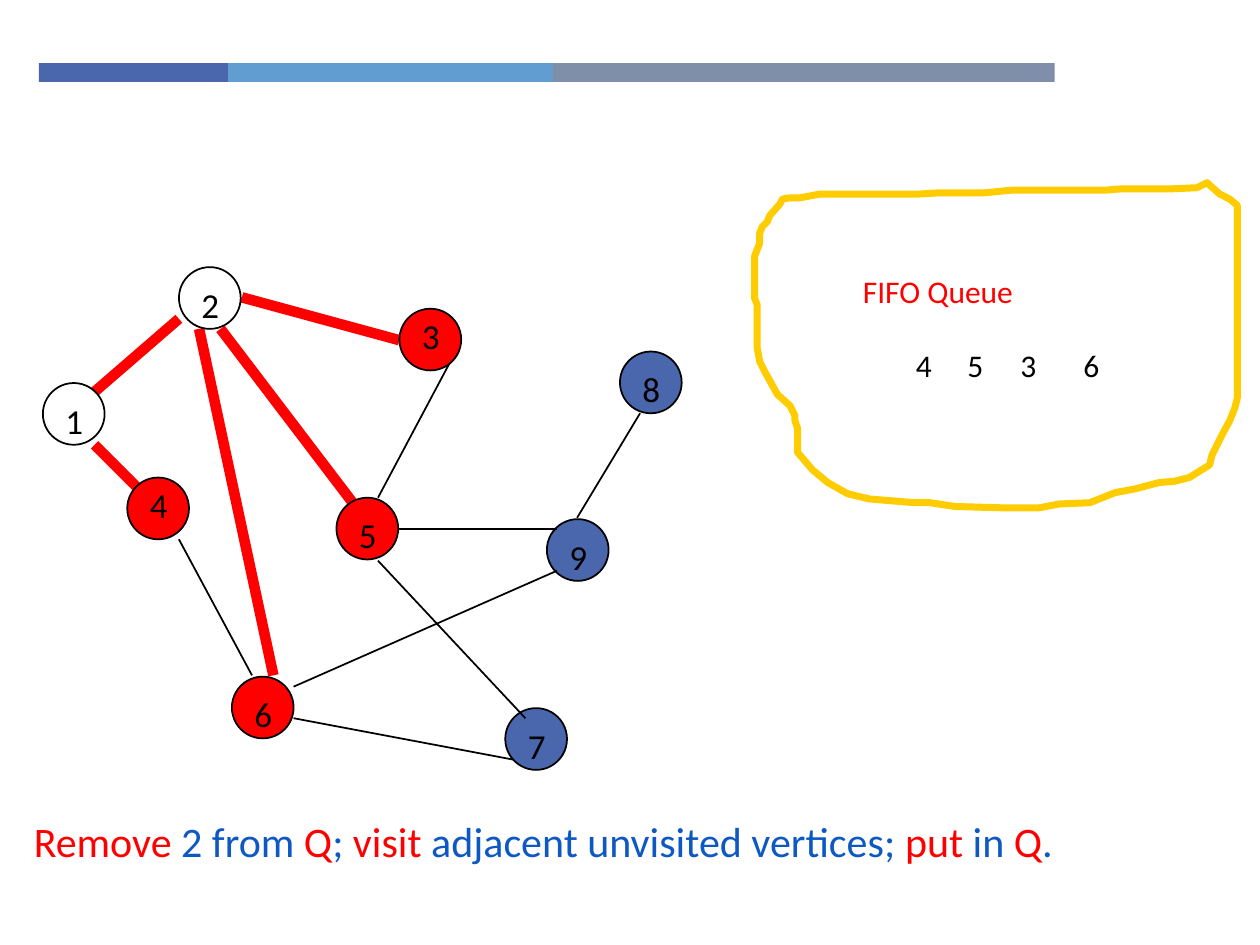
"""Build a slide showing one step of a breadth-first search with its FIFO queue."""
from dataclasses import dataclass

import lxml.etree
import pptx
import pptx.dml.color
import pptx.enum.shapes
import pptx.oxml.ns
import pptx.util

Inches = pptx.util.Inches


@dataclass(frozen=True)
class Theme:
    font: str = "Calibri"
    black: str = "000000"
    white: str = "FFFFFF"
    red: str = "FF0000"
    blue: str = "0E58C4"
    indigo: str = "4A66AC"
    sky: str = "629DD1"
    slate: str = "7F8FA9"
    gold: str = "FFCC00"
    caption_size: int = 24
    node_size: int = 20
    queue_size: int = 18
    thin: int = 1
    outline: int = 4
    thick: int = 6
    diameter: float = 0.49


def color(value):
    return pptx.dml.color.RGBColor.from_string(value)


class SlideBuilder:
    def __init__(self, slide, theme):
        self.slide = slide
        self.theme = theme

    def set_line(self, item, line_color, width):
        item.line.color.rgb = color(line_color)
        item.line.width = pptx.util.Pt(width)

    def shape(self, kind, left, top, width, height, fill):
        shape = self.slide.shapes.add_shape(
            kind, Inches(left), Inches(top), Inches(width), Inches(height))
        shape.shadow.inherit = False
        shape.fill.solid()
        shape.fill.fore_color.rgb = color(fill)
        return shape

    def bar(self, left, width, fill):
        kind = pptx.enum.shapes.MSO_SHAPE.RECTANGLE
        self.shape(kind, left, 0.5, width, 0.15, fill).line.fill.background()

    def text(self, left, top, width, height, size, *parts):
        box = self.slide.shapes.add_textbox(
            Inches(left), Inches(top), Inches(width), Inches(height))
        box.text_frame.word_wrap = True
        paragraph = box.text_frame.paragraphs[0]
        for wording, text_color in parts:
            run = paragraph.add_run()
            run.text = wording
            run.font.name = self.theme.font
            run.font.size = pptx.util.Pt(size)
            run.font.color.rgb = color(text_color)

    def node(self, label, left, top, fill, label_drop=0.08):
        theme = self.theme
        circle = self.shape(pptx.enum.shapes.MSO_SHAPE.OVAL, left, top,
                            theme.diameter, theme.diameter, fill)
        self.set_line(circle, theme.black, theme.thin)
        self.text(left + 0.08, top + label_drop, 0.25, 0.43,
                  theme.node_size, (label, theme.black))

    def edge(self, start, end, line_color, width):
        connector = self.slide.shapes.add_connector(
            pptx.enum.shapes.MSO_CONNECTOR.STRAIGHT,
            *(Inches(value) for value in start + end))
        self.set_line(connector, line_color, width)
        lxml.etree.SubElement(connector._element.spPr,
                              pptx.oxml.ns.qn("a:effectLst"))

    def outline(self, points, line_color, width):
        start, *rest = [(Inches(x), Inches(y)) for x, y in points]
        builder = self.slide.shapes.build_freeform(*start)
        builder.add_line_segments(rest, close=True)
        shape = builder.convert_to_shape()
        shape.shadow.inherit = False
        shape.fill.background()
        self.set_line(shape, line_color, width)


UNVISITED_NODES = [("8", 4.92, 2.79), ("9", 4.34, 4.12), ("7", 4.01, 5.62)]
REMOVED_NODES = [("1", 0.34, 3.04), ("2", 1.42, 2.12)]
QUEUED_NODES = [("4", 1.01, 3.79, 0), ("5", 2.67, 3.95, 0.08),
                ("3", 3.17, 2.45, 0), ("6", 1.84, 5.37, 0.08)]
TREE_EDGES = [
    ((1.42, 2.53), (0.75, 3.11)), ((1.75, 2.61), (2.83, 4.03)),
    ((0.75, 3.53), (1.08, 3.86)), ((1.92, 2.36), (3.17, 2.7)),
    ((1.58, 2.61), (2.17, 5.36)),
]
OTHER_EDGES = [
    ((1.42, 4.28), (2, 5.36)), ((2.33, 5.7), (4.08, 6.03)),
    ((3.58, 2.86), (3, 3.95)), ((3, 4.45), (4.17, 5.7)),
    ((5.08, 3.28), (4.58, 4.11)), ((3.17, 4.2), (4.42, 4.2)),
    ((2.33, 5.45), (4.42, 4.53)),
]
QUEUE_OUTLINE = [
    (9.58, 1.45), (9.5, 1.49), (9.28, 1.5), (8.89, 1.5), (8.77, 1.51),
    (8.02, 1.51), (7.82, 1.53), (7.46, 1.53), (7.3, 1.54), (6.51, 1.54),
    (6.35, 1.57), (6.27, 1.57), (6.21, 1.58), (6.19, 1.62), (6.11, 1.71),
    (6.09, 1.76), (6.05, 1.8), (6.03, 1.85), (6.03, 1.93), (5.99, 2.03),
    (5.99, 2.37), (6.01, 2.42), (6.01, 2.76), (6.03, 2.87), (6.07, 2.95),
    (6.17, 3.13), (6.27, 3.22), (6.31, 3.3), (6.31, 3.34), (6.33, 3.4),
    (6.33, 3.59), (6.45, 3.73), (6.57, 3.83), (6.73, 3.92), (6.9, 3.96),
    (7.26, 3.99), (7.38, 3.99), (7.58, 4.02), (7.94, 4.03), (8.25, 4.03),
    (8.41, 4), (8.65, 3.99), (8.85, 3.91), (9.01, 3.88), (9.2, 3.83),
    (9.32, 3.82), (9.44, 3.79), (9.6, 3.69), (9.62, 3.61), (9.7, 3.45),
    (9.76, 3.34), (9.8, 3.24), (9.82, 3.16), (9.82, 1.63), (9.76, 1.58),
    (9.68, 1.54),
]
CAPTION = ["Remove ", "2 from ", "Q", "; ", "visit",
           " adjacent unvisited vertices; ", "put", " in ", "Q", "."]


def main():
    theme = Theme()
    presentation = pptx.Presentation()
    presentation.slide_width = Inches(10)
    presentation.slide_height = Inches(7.5)
    slide = presentation.slides.add_slide(presentation.slide_layouts[6])
    builder = SlideBuilder(slide, theme)

    left = 0.31
    for width, fill in ((1.5, theme.indigo), (2.58, theme.sky), (3.98, theme.slate)):
        builder.bar(left, width, fill)
        left += width

    caption_colors = (theme.red, theme.blue)
    builder.text(0.17, 6.42, 9.83, 0.78, theme.caption_size,
                 *((wording, caption_colors[index % 2])
                   for index, wording in enumerate(CAPTION)))

    for node in UNVISITED_NODES:
        builder.node(*node[:3], theme.indigo)
    for start, end in OTHER_EDGES:
        builder.edge(start, end, theme.black, theme.thin)
    for start, end in TREE_EDGES:
        builder.edge(start, end, theme.red, theme.thick)
    for node in REMOVED_NODES:
        builder.node(*node, theme.white)
    for label, left, top, label_drop in QUEUED_NODES:
        builder.node(label, left, top, theme.red, label_drop)

    builder.outline(QUEUE_OUTLINE, theme.gold, theme.outline)
    builder.text(6.75, 2.11, 3.08, 0.86, theme.queue_size, ("FIFO Queue", theme.red))
    for label, left in zip("4536", (7.17, 7.58, 8, 8.5)):
        builder.text(left, 2.7, 0.42, 0.63, theme.queue_size, (label, theme.black))

    presentation.save("out.pptx")


if __name__ == "__main__":
    main()
